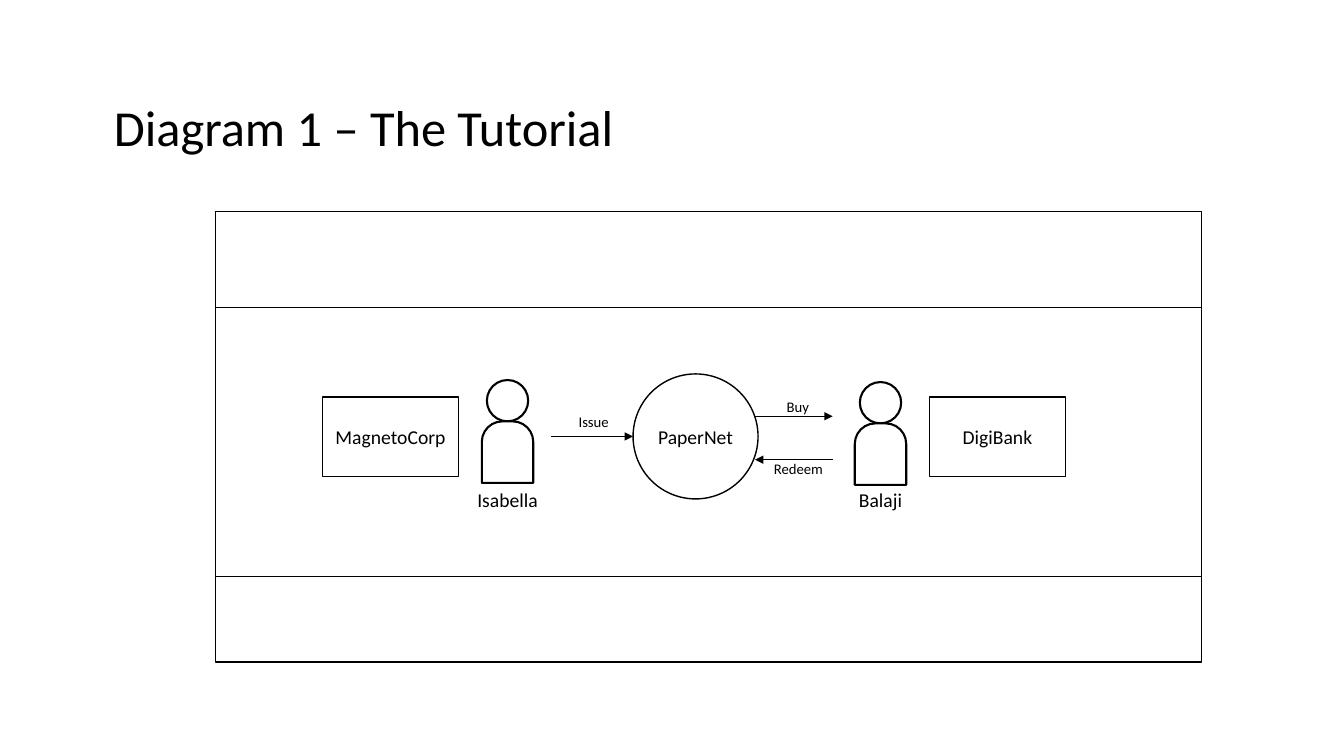
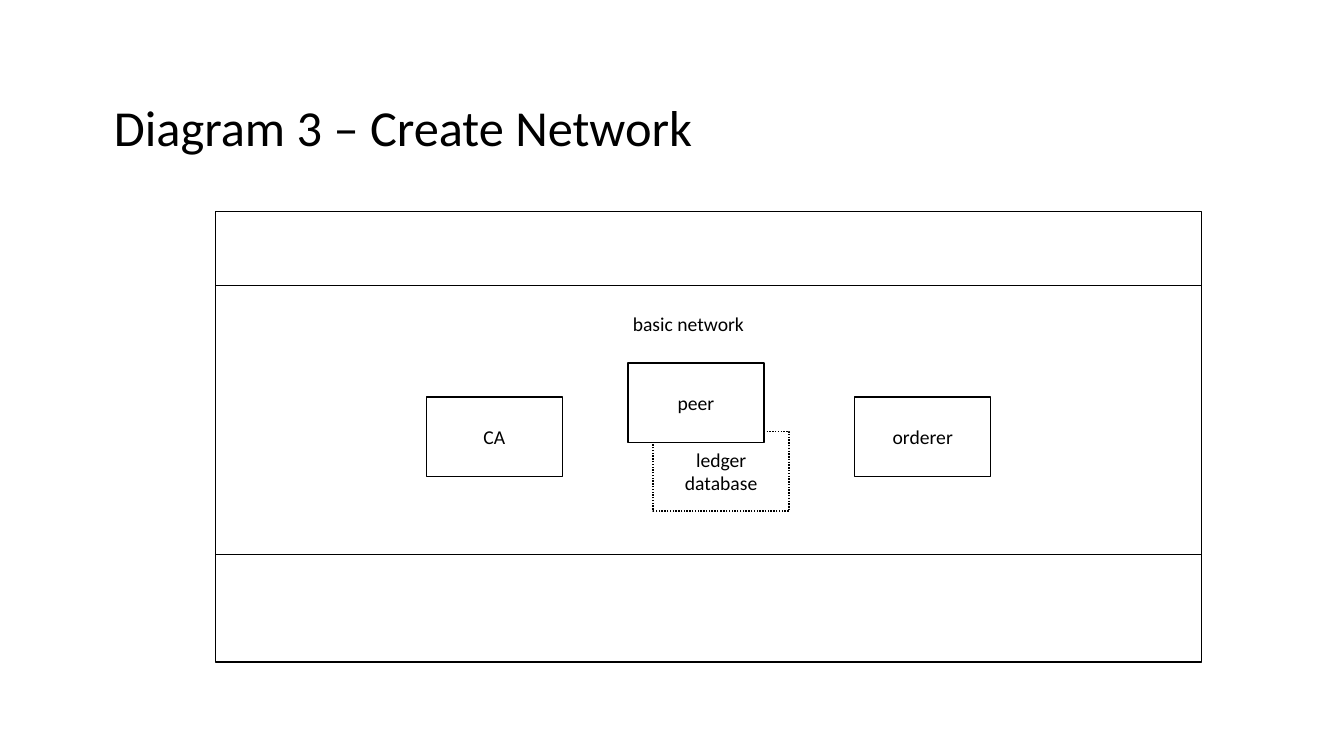
from lxml import etree
from pptx import Presentation
from pptx import util as u
from pptx.dml.color import RGBColor
from pptx.enum import dml, shapes, text
from pptx.oxml.ns import qn

COLUMNS, ROWS = 133.33, 75


def colour(hex_code):
    return RGBColor.from_string(hex_code)


class Diagram:
    font = "Calibri"
    ink, paper = "000000", "FFFFFF"
    title_size, body_size, small_size = 36, 14, 10.5
    thin, bold = 1, 1.5
    left, top, width, height = 21.4, 21, 97.8, 44.7
    box_width, box_height = 13.5, 7.9
    middle = 43.35

    def __init__(self):
        self.deck = Presentation()
        self.deck.slide_width, self.deck.slide_height = u.Inches(13.33), u.Inches(7.5)
        self.cell_width = self.deck.slide_width / COLUMNS
        self.cell_height = self.deck.slide_height / ROWS
        self.slide = None

    def x(self, columns):
        return u.Emu(round(columns * self.cell_width))

    def y(self, rows):
        return u.Emu(round(rows * self.cell_height))

    def place(self, column, row, columns, rows):
        return self.x(column), self.y(row), self.x(columns), self.y(rows)

    def start(self, heading, dividers):
        self.slide = self.deck.slides.add_slide(self.deck.slide_layouts[6])
        frame = self.outline(shapes.MSO_SHAPE.RECTANGLE,
                             self.left, self.top, self.width, self.height)
        frame.fill.background()
        title = self.slide.shapes.add_textbox(*self.place(10.8, 5.7, 115, 14.5))
        self.set_words(title, heading, self.title_size, text.PP_ALIGN.LEFT)
        title.text_frame.paragraphs[0].line_spacing = 0.9
        for row in dividers:
            self.line(self.left, row, self.left + self.width, row)

    def set_words(self, holder, words, size, align=text.PP_ALIGN.CENTER, wrap=True):
        frame = holder.text_frame
        frame.text = words
        frame.word_wrap = wrap
        frame.vertical_anchor = text.MSO_ANCHOR.MIDDLE
        frame.margin_left = frame.margin_right = self.x(0.5)
        frame.margin_top = frame.margin_bottom = self.y(0.5)
        paragraph = frame.paragraphs[0]
        paragraph.alignment = align
        for run in paragraph.runs:
            run.font.name, run.font.size = self.font, u.Pt(size)
            run.font.color.rgb = colour(self.ink)

    def outline(self, preset, column, row, columns, rows, weight=thin, parent=None):
        owner = parent or self.slide
        figure = owner.shapes.add_shape(preset, *self.place(column, row, columns, rows))
        figure.shadow.inherit = False
        figure.fill.solid()
        figure.fill.fore_color.rgb = colour(self.paper)
        figure.line.color.rgb = colour(self.ink)
        figure.line.width = u.Pt(weight)
        return figure

    def box(self, words, centre, middle=middle, dotted=False):
        node = self.outline(shapes.MSO_SHAPE.RECTANGLE, centre - self.box_width / 2,
                            middle - self.box_height / 2, self.box_width, self.box_height)
        if dotted:
            node.line.dash_style = dml.MSO_LINE.ROUND_DOT
        self.set_words(node, words, self.body_size)

    def circle(self, words, column, row, size):
        node = self.outline(shapes.MSO_SHAPE.OVAL, column, row, size, size)
        self.set_words(node, words, self.body_size)

    def label(self, words, centre, row, columns, size=body_size):
        caption = self.slide.shapes.add_textbox(
            *self.place(centre - columns / 2, row, columns, size * 0.17 + 1))
        self.set_words(caption, words, size, wrap=False)
        caption.text_frame.vertical_anchor = text.MSO_ANCHOR.TOP
        caption.text_frame.auto_size = text.MSO_AUTO_SIZE.SHAPE_TO_FIT_TEXT

    def line(self, column, row, end_column, end_row, arrow=False):
        stroke = self.slide.shapes.add_connector(
            shapes.MSO_CONNECTOR.STRAIGHT, self.x(column), self.y(row),
            self.x(end_column), self.y(end_row))
        stroke.line.color.rgb = colour(self.ink)
        stroke.line.width = u.Pt(self.thin)
        properties = stroke._element.spPr
        if arrow:
            tip = etree.SubElement(properties.find(qn("a:ln")), qn("a:tailEnd"))
            tip.set("type", "triangle")
        etree.SubElement(properties, qn("a:effectLst"))

    def person(self, name, centre, row, name_columns):
        head, body_width, body_height = 4.1, 5.1, 6.1
        figure = self.slide.shapes.add_group_shape()
        self.outline(shapes.MSO_SHAPE.OVAL, centre - head / 2, row,
                     head, head, self.bold, figure)
        body = self.outline(shapes.MSO_SHAPE.ROUND_2_SAME_RECTANGLE,
                            centre - body_width / 2, row + head,
                            body_width, body_height, self.bold, figure)
        body.adjustments[0], body.adjustments[1] = 0.4, 0
        self.label(name, centre, 47.9, name_columns)


def tutorial(diagram):
    diagram.start("Diagram 1 – The Tutorial", (30.5, 57.2))
    diagram.box("MagnetoCorp", 38.75)
    diagram.box("DigiBank", 98.95)
    diagram.circle("PaperNet", 62.8, 37.1, 12.4)
    diagram.person("Isabella", 50.35, 37.7, 7.1)
    diagram.person("Balaji", 87.35, 37.9, 5.4)
    for action, centre, row, columns in (
            ("Issue", 58.9, 40.5, 4), ("Buy", 79.15, 39, 3.3), ("Redeem", 79.2, 45.1, 6)):
        diagram.label(action, centre, row, columns, diagram.small_size)
    for start, end, row in ((54.7, 62.8, 43.3), (74.9, 82.6, 41.3), (82.6, 74.9, 45.6)):
        diagram.line(start, row, end, row, arrow=True)


def create_network(diagram):
    diagram.start("Diagram 3 – Create Network", (28.3, 55))
    diagram.label("basic network", 68.3, 30.4, 12.2)
    diagram.box("CA", 49.05)
    diagram.box("orderer", 91.55)
    diagram.box("ledger database", 71.55, diagram.middle + 3.4, dotted=True)
    diagram.box("peer", 69.05, diagram.middle - 3.4)


def main():
    diagram = Diagram()
    tutorial(diagram)
    create_network(diagram)
    diagram.deck.save("out.pptx")


if __name__ == "__main__":
    main()
